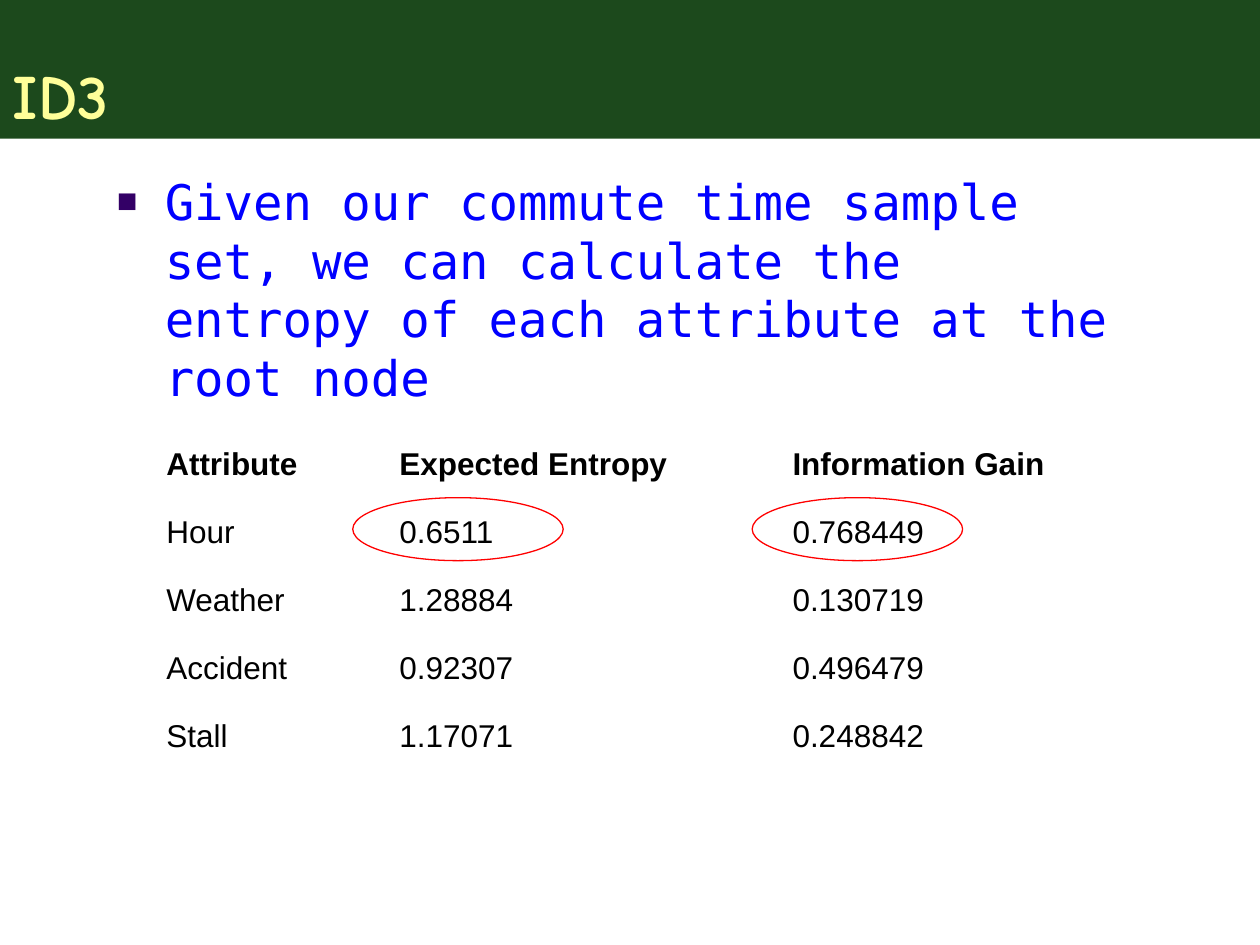
from dataclasses import dataclass

from lxml import etree
from pptx import Presentation
from pptx.dml.color import RGBColor
from pptx.enum import shapes, text
from pptx.oxml import ns
from pptx.util import Inches, Pt

COLORS = {
    "band": "003300",
    "title": "FFFF99",
    "body": "0000FF",
    "bullet": "330066",
    "ring": "FF0000",
    "cell": "000000",
}
ROWS = [
    ("Attribute", "Expected Entropy", "Information Gain"),
    ("Hour", "0.6511", "0.768449"),
    ("Weather", "1.28884", "0.130719"),
    ("Accident", "0.92307", "0.496479"),
    ("Stall", "1.17071", "0.248842"),
]
WIDTHS = (1.85, 3.12, 3.02)
HEIGHTS = (0.68, 0.54, 0.54, 0.54, 0.54)


@dataclass
class Font:
    name: str
    size: int
    color: str
    bold: bool = False


@dataclass
class Box:
    left: float
    top: float
    width: float
    height: float

    def lengths(self) -> tuple:
        return tuple(map(Inches, (self.left, self.top, self.width, self.height)))


RINGS = [Box(left, 3.95, 1.67, 0.5) for left in (2.8, 5.97)]


def rgb(key: str) -> RGBColor:
    return RGBColor.from_string(COLORS[key])


def add_run(para, words: str, font: Font) -> None:
    run = para.add_run()
    run.text = words
    run.font.name = font.name
    run.font.size = Pt(font.size)
    run.font.bold = font.bold
    run.font.color.rgb = rgb(font.color)


def add_bullet(para, indent: float) -> None:
    props = para._p.get_or_add_pPr()
    props.set("marL", str(Inches(indent)))
    props.set("indent", str(-Inches(indent)))
    color = etree.SubElement(props, ns.qn("a:buClr"))
    etree.SubElement(color, ns.qn("a:srgbClr"), val=COLORS["bullet"])
    etree.SubElement(props, ns.qn("a:buSzPct"), val="70000")
    etree.SubElement(props, ns.qn("a:buFont"), typeface="Arial")
    etree.SubElement(props, ns.qn("a:buChar"), char="■")


def add_body(slide, box: Box, words: str) -> None:
    frame = slide.shapes.add_textbox(*box.lengths()).text_frame
    frame.word_wrap = True
    para = frame.paragraphs[0]
    para.space_before = Pt(7)
    add_bullet(para, 0.38)
    add_run(para, words, Font("DejaVu Sans Mono", 28, "body"))


def add_grid(slide, box: Box) -> None:
    frame = slide.shapes.add_table(len(ROWS), len(WIDTHS), *box.lengths())
    table = frame.table
    table.first_row = table.horz_banding = False
    for col, width in zip(table.columns, WIDTHS):
        col.width = Inches(width)
    for i, (row, height) in enumerate(zip(table.rows, HEIGHTS)):
        row.height = Inches(height)
        for cell, words in zip(row.cells, ROWS[i]):
            cell.fill.background()
            cell.vertical_anchor = text.MSO_ANCHOR.BOTTOM
            add_run(cell.text_frame.paragraphs[0], words,
                    Font("Arial", 18, "cell", bold=i == 0))


def add_ring(slide, box: Box) -> None:
    ring = slide.shapes.add_shape(shapes.MSO_SHAPE.OVAL, *box.lengths())
    ring.shadow.inherit = False
    ring.fill.background()
    ring.line.color.rgb = rgb("ring")
    ring.line.width = Pt(0.75)


def set_title(slide, box: Box, words: str) -> None:
    title = slide.shapes.title
    title.left, title.top, title.width, title.height = box.lengths()
    title.fill.solid()
    title.fill.fore_color.rgb = rgb("band")
    # Let the white background show through a little
    tint = title.fill._xPr.find(".//" + ns.qn("a:srgbClr"))
    etree.SubElement(tint, ns.qn("a:alpha"), val="89000")
    frame = title.text_frame
    frame.vertical_anchor = text.MSO_ANCHOR.BOTTOM
    para = frame.paragraphs[0]
    para.alignment = text.PP_ALIGN.LEFT
    add_run(para, words, Font("Comic Neue", 36, "title", bold=True))


def main() -> None:
    deck = Presentation()
    deck.slide_width, deck.slide_height = Inches(10), Inches(7.5)
    slide = deck.slides.add_slide(deck.slide_layouts[5])

    # Title band
    set_title(slide, Box(0, 0, 10, 1.1), "ID3")

    # Statement
    add_body(slide, Box(0.83, 1.31, 8.13, 1.58),
             "Given our commute time sample set, we can calculate the "
             "entropy of each attribute at the root node")

    # Entropy table, with the best attribute ringed
    add_grid(slide, Box(1.22, 3.2, sum(WIDTHS), sum(HEIGHTS)))
    for ring in RINGS:
        add_ring(slide, ring)

    deck.save("out.pptx")


if __name__ == "__main__":
    main()
